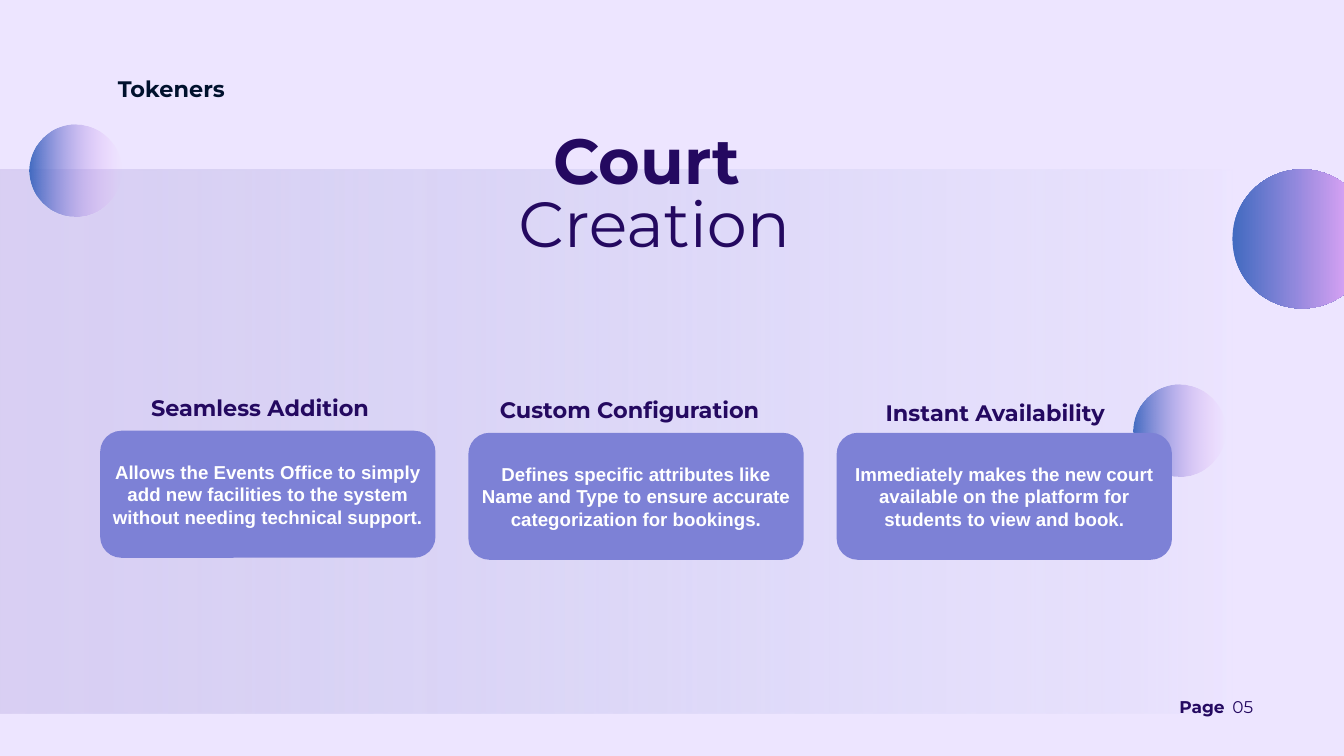
from pptx import Presentation
from pptx.dml.color import RGBColor
from pptx.enum.shapes import MSO_SHAPE
from pptx.enum.text import MSO_ANCHOR, MSO_AUTO_SIZE, PP_ALIGN
from pptx.oxml import parse_xml
from pptx.oxml.ns import nsdecls
from pptx.util import Inches, Pt

HUES = {"back": "EDE5FF", "ink": "240960", "dark": "00112D", "card": "7D81D6",
        "white": "FFFFFF", "blue": "3C67BF", "pink": "F7ACFF",
        "mist": "D9CFF3", "haze": "C7C9F0"}

deck = Presentation()
deck.slide_width, deck.slide_height = Inches(20), Inches(11.25)
CELL = deck.slide_width / 20  # square grid: 20 columns, 11.25 rows
slide = deck.slides.add_slide(deck.slide_layouts[5])
slide.background.fill.solid()
slide.background.fill.fore_color.rgb = RGBColor.from_string(HUES["back"])


def draw(kind, *box, stops=None, hue=None):
    """Add a borderless shape with a flat fill or a left-to-right gradient."""
    shape = slide.shapes.add_shape(kind, *[round(CELL * n) for n in box])
    shape.shadow.inherit = False
    shape.line.fill.background()
    if hue:
        shape.fill.solid()
        shape.fill.fore_color.rgb = RGBColor.from_string(HUES[hue])
    else:
        marks = "".join(
            f'<a:gs pos="{pos * 1000}"><a:srgbClr val="{HUES[name]}">'
            f'<a:alpha val="{alpha * 1000}"/></a:srgbClr></a:gs>'
            for pos, name, alpha in stops)
        shape._element.spPr.insert(2, parse_xml(
            f'<a:gradFill {nsdecls("a")} rotWithShape="1"><a:gsLst>{marks}</a:gsLst>'
            '<a:lin ang="0" scaled="0"/></a:gradFill>'))
    return shape


def write(text, size, hue="ink", box=None, shape=None, bold=True, face="Montserrat",
          align=PP_ALIGN.CENTER, lead=1.0, pad=(0, 0), anchor=MSO_ANCHOR.TOP,
          fit=MSO_AUTO_SIZE.SHAPE_TO_FIT_TEXT):
    """Put one formatted paragraph in a shape, or in a new text box."""
    shape = shape or slide.shapes.add_textbox(0, 0, 0, 0)
    if box:
        for name, n in zip(("left", "top", "width", "height"), box):
            setattr(shape, name, round(CELL * n))
    frame = shape.text_frame
    side, edge = [round(CELL * n) for n in pad]
    form = {"word_wrap": True, "auto_size": fit, "vertical_anchor": anchor,
            "margin_left": side, "margin_right": side,
            "margin_top": edge, "margin_bottom": edge}
    for name, value in form.items():
        setattr(frame, name, value)
    para = frame.paragraphs[0]
    para.alignment, para.line_spacing = align, lead
    run = para.add_run()
    run.text = text
    for name, value in {"name": face, "size": Pt(size), "bold": bold}.items():
        setattr(run.font, name, value)
    run.font.color.rgb = RGBColor.from_string(HUES[hue])


# Backdrop panel
draw(MSO_SHAPE.RECTANGLE, 0, 2.52, 18.34, 8.1,
     stops=[(0, "mist", 100), (83, "haze", 18), (100, "back", 39)])

# Gradient balls: left, top, width, alpha of the pink end
for left, top, wide, alpha in [(18.34, 2.52, 2.07, 96), (0.44, 1.85, 1.37, 0),
                               (16.87, 5.72, 1.37, 0)]:
    draw(MSO_SHAPE.OVAL, left, top, wide, wide,
         stops=[(0, "blue", 96), (100, "pink", alpha)])

# Page number
foot = {"size": 18.2, "align": PP_ALIGN.LEFT, "lead": 1.02}
write("Page", box=(17.55, 10.36, 0.79, 0.27), **foot)
write("05", box=(18.34, 10.36, 0.39, 0.31), bold=False, **foot)

# Title in two weights, raised above the backdrop, and team name
title = slide.shapes.title
slide.shapes._spTree.append(title._element)
write("Court", 68.3, box=(5.63, 2.02, 8, 0.84), shape=title, lead=0.8)
write("Creation", 68.3, box=(7.47, 2.95, 4.53, 0.84), bold=False, lead=0.8)
write("Tokeners", 24, "dark", box=(1.52, 0.61, 2.06, 0.66), lead=2.28)

# Three cards with headings: card top, heading box, heading, body
cards = [
    (6.41, (2.15, 5.81, 3.64, 0.5), "Seamless Addition",
     "Allows the Events Office to simply add new facilities to the system "
     "without needing technical support."),
    (6.44, (7.34, 5.84, 4.25, 0.5), "Custom Configuration",
     "Defines specific attributes like Name and Type to ensure accurate "
     "categorization for bookings."),
    (6.44, (13.08, 5.89, 3.72, 0.5), "Instant Availability",
     "Immediately makes the new court available on the platform for "
     "students to view and book."),
]
for i, (top, box, head, body) in enumerate(cards):
    card = draw(MSO_SHAPE.ROUNDED_RECTANGLE, 1.49 + 5.48 * i, top, 4.99, 1.89, hue="card")
    write(body, 20, "white", shape=card, face="Arial", pad=(0.1, 0.05),
          anchor=MSO_ANCHOR.MIDDLE, fit=MSO_AUTO_SIZE.NONE)
    write(head, 24, box=box, align=PP_ALIGN.LEFT, pad=(0.1, 0.05))

deck.save("out.pptx")
